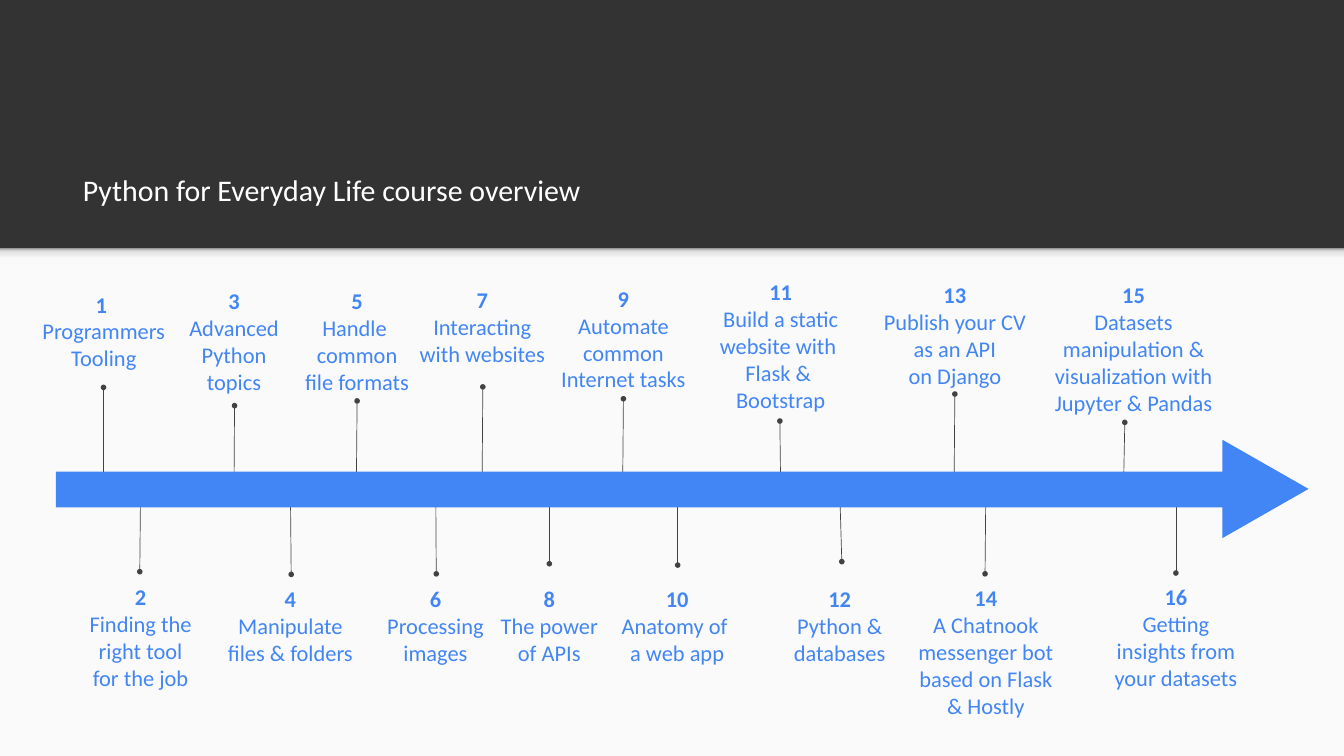
"""Build the course overview slide: a timeline arrow with numbered lessons."""
from copy import deepcopy
from dataclasses import dataclass

from lxml.etree import SubElement
from pptx import Presentation
from pptx.dml.color import RGBColor
from pptx.enum.shapes import MSO_CONNECTOR, MSO_SHAPE
from pptx.enum.text import MSO_ANCHOR, MSO_AUTO_SIZE, PP_ALIGN
from pptx.oxml.ns import qn
from pptx.shapes.autoshape import Shape
from pptx.slide import Slide
from pptx.text.text import TextFrame
from pptx.util import Cm, Pt


@dataclass(frozen=True)
class Theme:
    font: str = "Calibri"
    title_size: int = 32
    label_size: int = 24
    stem_width: float = 0.75
    inset: float = 0.51
    header: str = "333333"
    panel: str = "FAFAFA"
    title: str = "FFFFFF"
    accent: str = "4285F4"
    stem: str = "424242"
    shadow: tuple[tuple[float, str], ...] = (
        (0, "F9F9F9"), (0.36, "F9F9F9"), (0.8, "DEDEDE"), (1, "999999"))


@dataclass(frozen=True)
class Box:
    left: float
    top: float
    width: float
    height: float

    def lengths(self) -> tuple[Cm, Cm, Cm, Cm]:
        return Cm(self.left), Cm(self.top), Cm(self.width), Cm(self.height)


@dataclass(frozen=True)
class Lesson:
    lines: tuple[str, ...]
    center: float
    middle: float
    width: float
    height: float
    foot: float
    tip: float
    tip_height: float

    def box(self) -> Box:
        return Box(self.center - self.width / 2, self.middle - self.height / 2,
                   self.width, self.height)


THEME = Theme()
SLIDE_WIDTH, SLIDE_HEIGHT = 50.77, 28.55
PANEL_TOP = 9.37
TITLE_BOX = Box(2.62, 4.09, 45.67, 4.27)
BAR = Box(2.11, 17.81, 44.63, 1.35)
ARROWHEAD = Box(45.95, 16.84, 3.71, 3.25)

LESSONS = (
    Lesson(("Programmers", "Tooling"), 3.92, 12.5, 7.8, 4.27, 3.91, 3.91, 14.63),
    Lesson(("Finding the", "right tool", "for the job"),
           5.31, 24.07, 6.15, 3.48, 5.31, 5.28, 21.59),
    Lesson(("Advanced", "Python", "topics"), 8.84, 12.87, 5.79, 3.48, 8.84, 8.86, 15.32),
    Lesson(("Manipulate", "files & folders"), 10.97, 23.63, 6.76, 3.12, 10.97, 11, 21.69),
    Lesson(("Handle ", "common", "file formats"),
           13.49, 12.87, 7.57, 4.55, 13.46, 13.49, 15.14),
    Lesson(("Processing", "images"), 16.45, 23.63, 5, 3.12, 16.46, 16.48, 21.67),
    Lesson(("Interacting", "with websites"), 18.22, 12.33, 5.92, 4.55, 18.21, 18.24, 14.61),
    Lesson(("The power", "of APIs"), 20.75, 23.61, 8.84, 3.12, 20.75, 20.75, 21.29),
    Lesson(("Automate common", "Internet tasks"),
           23.55, 12.79, 7.57, 4.55, 23.52, 23.55, 15.06),
    Lesson(("Anatomy of ", "a web app"), 25.58, 23.63, 6.15, 3.12, 25.6, 25.6, 21.34),
    Lesson(("Build a static website with ", "Flask & ", "Bootstrap"),
           29.49, 13.04, 7.57, 4.55, 29.49, 29.46, 15.9),
    Lesson(("Python & databases",), 31.72, 23.61, 6.15, 3.12, 31.72, 31.8, 21.21),
    Lesson(("Publish your CV", "as an API", "on Django"),
           36.07, 12.64, 7.57, 4.55, 36.04, 36.07, 14.88),
    Lesson(("A Chatnook messenger bot based on Flask & Hostly",),
           37.24, 24.61, 6.15, 4.72, 37.24, 37.21, 21.67),
    Lesson(("Datasets manipulation & visualization with Jupyter & Pandas",),
           42.82, 13.17, 7.57, 5.61, 42.44, 42.49, 15.95),
    Lesson(("Getting insights from your datasets",),
           44.42, 24.07, 6.15, 3.12, 44.42, 44.42, 21.64),
)


def place(shape: Shape, box: Box) -> None:
    shape.left, shape.top, shape.width, shape.height = box.lengths()


def prepare_frame(frame: TextFrame, anchor: MSO_ANCHOR) -> None:
    frame.word_wrap = True
    frame.auto_size = MSO_AUTO_SIZE.NONE
    frame.vertical_anchor = anchor
    frame.margin_left = frame.margin_right = Cm(THEME.inset)
    frame.margin_top = frame.margin_bottom = Cm(THEME.inset)


def write_line(frame: TextFrame, index: int, text: str, size: int, color: str,
               alignment: PP_ALIGN, bold: bool = False) -> None:
    paragraph = frame.add_paragraph() if index else frame.paragraphs[0]
    paragraph.alignment = alignment
    run = paragraph.add_run()
    run.text = text
    run.font.name = THEME.font
    run.font.size = Pt(size)
    run.font.bold = bold
    run.font.color.rgb = RGBColor.from_string(color)


def add_block(shapes, kind: MSO_SHAPE, box: Box, color: str) -> Shape:
    shape = shapes.add_shape(kind, *box.lengths())
    shape.shadow.inherit = False
    shape.fill.solid()
    shape.fill.fore_color.rgb = RGBColor.from_string(color)
    shape.line.fill.background()
    return shape


def add_backdrop(slide: Slide) -> None:
    slide.background.fill.solid()
    slide.background.fill.fore_color.rgb = RGBColor.from_string(THEME.header)
    add_block(slide.shapes, MSO_SHAPE.RECTANGLE,
              Box(0, PANEL_TOP, SLIDE_WIDTH, SLIDE_HEIGHT - PANEL_TOP), THEME.panel)
    strip = add_block(slide.shapes, MSO_SHAPE.RECTANGLE,
                      Box(0, PANEL_TOP, SLIDE_WIDTH, 0.61), THEME.panel)
    strip.fill.gradient()
    strip.fill.gradient_angle = 90
    stops = strip._element.spPr.find(".//" + qn("a:gsLst"))
    while len(stops) < len(THEME.shadow):
        stops.append(deepcopy(stops[0]))
    for stop, (position, color) in zip(strip.fill.gradient_stops, THEME.shadow):
        stop.position = position
        stop.color.rgb = RGBColor.from_string(color)


def add_title(slide: Slide, text: str) -> None:
    title = slide.shapes.title
    place(title, TITLE_BOX)
    prepare_frame(title.text_frame, MSO_ANCHOR.BOTTOM)
    write_line(title.text_frame, 0, text, THEME.title_size, THEME.title, PP_ALIGN.LEFT)


def add_stem(slide: Slide, lesson: Lesson) -> None:
    stem = slide.shapes.add_connector(
        MSO_CONNECTOR.STRAIGHT, Cm(lesson.foot), Cm(BAR.top + BAR.height / 2),
        Cm(lesson.tip), Cm(lesson.tip_height))
    stem.line.width = Pt(THEME.stem_width)
    stem.line.color.rgb = RGBColor.from_string(THEME.stem)
    properties = stem._element.spPr
    SubElement(properties.find(qn("a:ln")), qn("a:tailEnd"), type="oval")
    SubElement(properties, qn("a:effectLst"))


def add_lesson(slide: Slide, number: int, lesson: Lesson) -> None:
    add_stem(slide, lesson)
    label = slide.shapes.add_textbox(*lesson.box().lengths())
    prepare_frame(label.text_frame, MSO_ANCHOR.MIDDLE)
    heading = "1 " if number == 1 else str(number)
    for index, text in enumerate((heading, *lesson.lines)):
        write_line(label.text_frame, index, text, THEME.label_size, THEME.accent,
                   PP_ALIGN.CENTER, bold=index == 0)


def add_arrow(slide: Slide) -> None:
    group = slide.shapes.add_group_shape()
    head = add_block(group.shapes, MSO_SHAPE.ISOSCELES_TRIANGLE, ARROWHEAD, THEME.accent)
    head.rotation = 90
    add_block(group.shapes, MSO_SHAPE.RECTANGLE, BAR, THEME.accent)


def main() -> None:
    presentation = Presentation()
    presentation.slide_width = Cm(SLIDE_WIDTH)
    presentation.slide_height = Cm(SLIDE_HEIGHT)
    slide = presentation.slides.add_slide(presentation.slide_layouts.get_by_name("Title Only"))
    add_backdrop(slide)
    add_title(slide, "Python for Everyday Life course overview")
    for number, lesson in enumerate(LESSONS, start=1):
        add_lesson(slide, number, lesson)
    add_arrow(slide)
    presentation.save("out.pptx")


if __name__ == "__main__":
    main()
